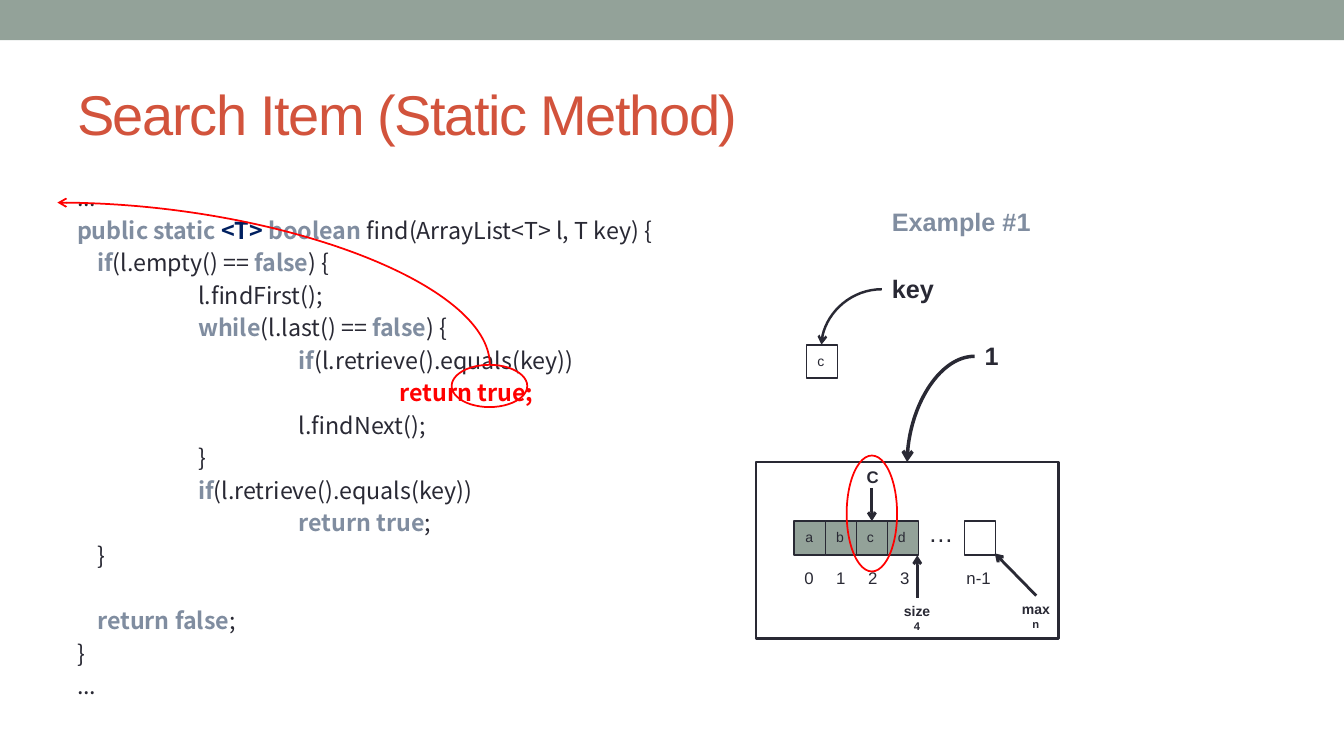
from lxml.etree import SubElement
from pptx import Presentation
from pptx.dml.color import RGBColor
from pptx.enum.shapes import MSO_CONNECTOR, MSO_SHAPE
from pptx.enum.text import MSO_ANCHOR, MSO_AUTO_SIZE, PP_ALIGN
from pptx.oxml.ns import qn
from pptx.util import Pt

COLORS = {"ink": "292934", "sage": "93A299", "title": "D2533C", "keyword": "808DA0",
          "type": "002060", "red": "FF0000", "white": "FFFFFF"}
CODE_FONT = "Noto Sans CJK SC"
PITCH = 23.25
INDENTS = [0, 14.4, 86.4, 158.4, 230.4]
CODE = [
    (0, [("...", "ink")]),
    (0, [("public static ", "keyword"), ("<T> ", "type"), ("boolean ", "keyword"),
         ("find(ArrayList<T> l, T key) {", "ink")]),
    (1, [("if", "keyword"), ("(l.empty() == ", "ink"), ("false", "keyword"), (") {", "ink")]),
    (2, [("l.findFirst();", "ink")]),
    (2, [("while", "keyword"), ("(l.last() == ", "ink"), ("false", "keyword"), (") {", "ink")]),
    (3, [("if", "keyword"), ("(l.retrieve().equals(key))", "ink")]),
    (4, [("return true;", "red")]),
    (3, [("l.findNext();", "ink")]),
    (2, [("}", "ink")]),
    (2, [("if", "keyword"), ("(l.retrieve().equals(key))", "ink")]),
    (3, [("return true", "keyword"), (";", "ink")]),
    (1, [("}", "ink")]),
    (1, [("return false", "keyword"), (";", "ink")]),
    (0, [("}", "ink")]),
    (0, [("...", "ink")]),
]


def rgb(name):
    """Return the named colour."""
    return RGBColor.from_string(COLORS[name])


def add_run(p, text, size, color="ink", bold=False, font="Arial"):
    """Append a formatted run to a paragraph."""
    r = p.add_run()
    r.text = text
    r.font.size, r.font.bold, r.font.name = Pt(size), bold, font
    r.font.color.rgb = rgb(color)
    return r


def add_box(s, x, y, w, h, fill=None, line="ink", width=1.25, kind=MSO_SHAPE.RECTANGLE):
    """Add a preset shape with optional fill and outline."""
    sp = s.shapes.add_shape(kind, Pt(x), Pt(y), Pt(w), Pt(h))
    sp.shadow.inherit = False
    if fill:
        sp.fill.solid()
        sp.fill.fore_color.rgb = rgb(fill)
    else:
        sp.fill.background()
    if line:
        sp.line.color.rgb = rgb(line)
        sp.line.width = Pt(width)
    else:
        sp.line.fill.background()


def add_label(s, x, y, w, h, text, size, bold=False, color="ink", below=None):
    """Add an unwrapped label with an optional small centred second line."""
    tf = s.shapes.add_textbox(Pt(x), Pt(y), Pt(w), Pt(h)).text_frame
    tf.word_wrap = False
    tf.auto_size = MSO_AUTO_SIZE.SHAPE_TO_FIT_TEXT
    add_run(tf.paragraphs[0], text, size, color, bold)
    if below:
        p = tf.add_paragraph()
        p.alignment = PP_ALIGN.CENTER
        add_run(p, below, 8, color, bold)


def add_arrow(s, start, end, width, color="ink", curved=False, tip="tailEnd"):
    """Add a straight or quarter-curve connector with one arrowhead."""
    kind = MSO_CONNECTOR.CURVE if curved else MSO_CONNECTOR.STRAIGHT
    c = s.shapes.add_connector(kind, *[Pt(v) for v in (*start, *end)])
    c.line.color.rgb = rgb(color)
    c.line.width = Pt(width)
    spPr = c._element.spPr
    if curved:
        spPr.find(qn("a:prstGeom")).set("prst", "curvedConnector2")
    SubElement(spPr.find(qn("a:ln")), qn("a:" + tip)).set("type", "arrow")
    SubElement(spPr, qn("a:effectLst"))


def add_title(s, text):
    """Add the slide title."""
    tf = s.shapes.add_textbox(Pt(48), Pt(42), Pt(864), Pt(78)).text_frame
    tf.word_wrap = True
    tf.vertical_anchor = MSO_ANCHOR.MIDDLE
    r = add_run(tf.paragraphs[0], text, 40, "title")
    r.font._element.set("spc", "-100")


def add_code(s):
    """Add the method listing, indented by nesting level."""
    tf = s.shapes.add_textbox(Pt(48), Pt(126), Pt(864), Pt(384)).text_frame
    tf.word_wrap = True
    tf.margin_top = Pt(1.6)
    for i, (level, runs) in enumerate(CODE):
        p = tf.add_paragraph() if i else tf.paragraphs[0]
        p.line_spacing = Pt(PITCH)
        p.space_before = Pt(PITCH if runs[0][0] == "return false" else 0)
        p._p.get_or_add_pPr().set("marL", str(Pt(INDENTS[level])))
        for text, color in runs:
            add_run(p, text, 16.6, color, color != "ink", CODE_FONT)


def add_list(s):
    """Add the array list with its cells, indices and pointers."""
    for i, item in enumerate("abcd"):
        add_box(s, 567.4 + 22.2 * i, 372.2, 22.2, 24, "sage")
        add_label(s, 568.2 + 22 * i, 374, 20.5, 19.4, item, 10)
        add_label(s, 567.4 + 22.8 * i, 401.8, 20.9, 21.6, str(i), 12)
    add_box(s, 689, 372.2, 22.2, 24, "white")
    add_label(s, 656, 365.8, 32.4, 28.8, "…", 18)
    add_label(s, 683.3, 401.8, 31.7, 21.6, "n-1", 12)
    add_label(s, 612, 329.8, 23, 21.6, "C", 12, True)
    add_label(s, 638.6, 427, 33.8, 28.8, "size", 10, True, below="4")
    add_label(s, 722.9, 425.5, 36, 28.8, "max", 10, True, below="n")
    add_arrow(s, (622.8, 348.5), (622.8, 372.2), 2)
    add_arrow(s, (655.2, 427), (655.2, 396.7), 2)
    add_arrow(s, (740.2, 425.5), (710.6, 395.3), 2)
    add_box(s, 540, 330, 216, 126, width=2)
    add_label(s, 696.2, 239.8, 24.5, 28.8, "1", 18, True)
    add_arrow(s, (696.2, 254.5), (648, 330), 2.5, curved=True)


def add_key(s):
    """Add the searched key and its reference arrow."""
    add_box(s, 576, 246.2, 22.2, 24)
    add_label(s, 576.7, 248.4, 20.2, 19.4, "c", 10)
    add_label(s, 630, 192, 44.6, 28.8, "key", 18, True)
    add_arrow(s, (630, 206.6), (586.8, 246.2), 1.75, curved=True)


def main():
    """Build and save the slide."""
    prs = Presentation()
    prs.slide_width, prs.slide_height = Pt(960), Pt(540)
    s = prs.slides.add_slide(prs.slide_layouts[6])
    add_box(s, 0, 0, 960, 28.8, "sage", None)
    add_title(s, "Search Item (Static Method)")
    add_code(s)
    add_list(s)
    add_key(s)
    add_box(s, 322.6, 260.6, 54, 30.2, line="red", kind=MSO_SHAPE.OVAL)
    add_box(s, 604.8, 325.4, 36, 82.8, line="red", kind=MSO_SHAPE.OVAL)
    add_arrow(s, (41, 144.7), (349.9, 260.6), 1.25, "red", True, "headEnd")
    add_label(s, 630, 144, 118, 28.8, "Example #1", 18, True, "keyword")
    prs.save("out.pptx")


main()
